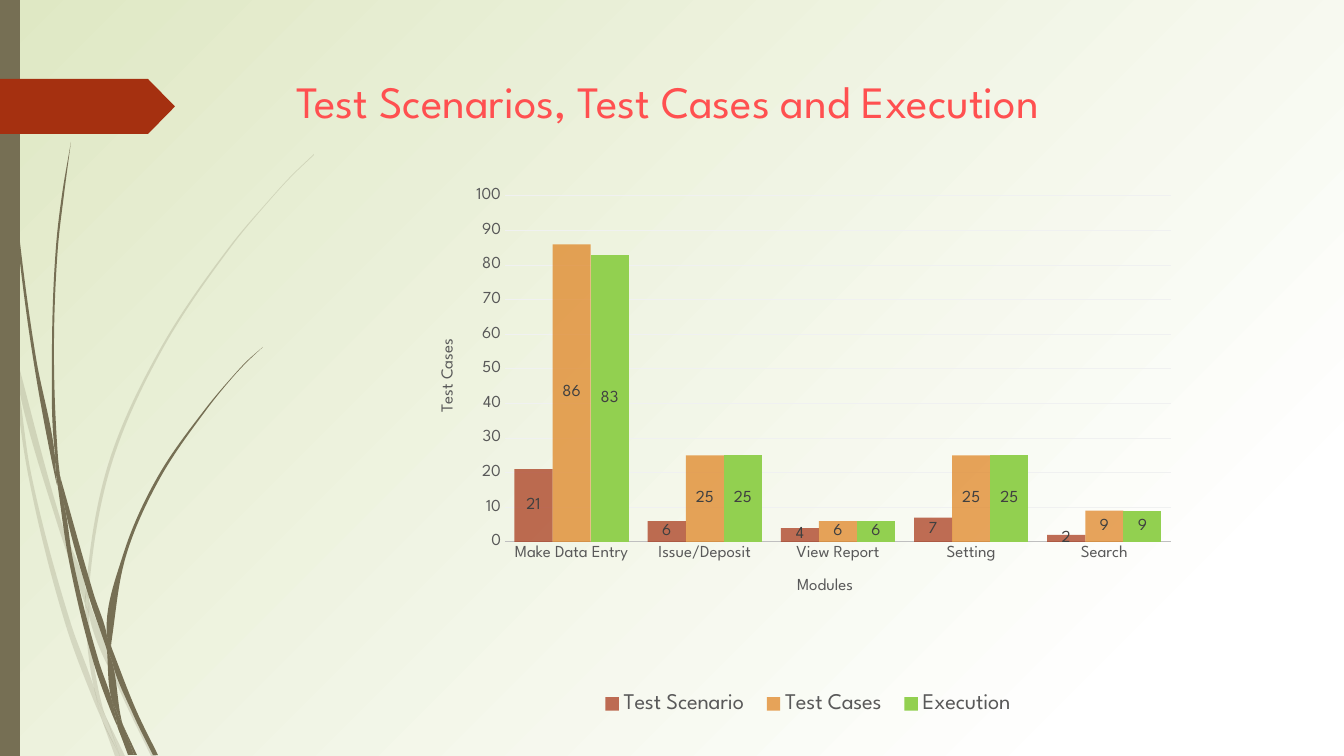
import math
from lxml import etree
from pptx import Presentation
from pptx import util as u
from pptx.chart import data as chart_data
from pptx.dml import color
from pptx.enum import chart as kinds, shapes, text
from pptx.oxml import ns

PIXEL = 914400 / 100.8
FONT = "League Spartan"
OLIVE, RUST, CORAL, GRAY = "766F54", "A53010", "FF5050", "595959"
CHART_BOX = (380, 170, 794, 586)


def px(length):
    return u.Emu(round(length * PIXEL))


def rgb(code):
    return color.RGBColor.from_string(code)


def heading(start, end):
    length = math.dist(start, end)
    return (end[0] - start[0]) / length, (end[1] - start[1]) / length


def curve_points(corners):
    count = len(corners)
    arriving, leaving = [], []
    for index, point in enumerate(corners):
        before = heading(corners[index - 1], point)
        after = heading(point, corners[(index + 1) % count])
        if before[0] * after[0] + before[1] * after[1] > 0.8:
            before = after = heading((0, 0), (before[0] + after[0], before[1] + after[1]))
        arriving.append(before)
        leaving.append(after)
    for index, start in enumerate(corners):
        following = (index + 1) % count
        end = corners[following]
        reach = math.dist(start, end) / 3
        yield tuple(p + d * reach for p, d in zip(start, leaving[index]))
        yield tuple(p - d * reach for p, d in zip(end, arriving[following]))
        yield end


class SlideBuilder:
    def __init__(self, deck):
        self.page = deck.slides.add_slide(deck.slide_layouts[5])

    def background(self, inner, outer):
        fill = self.page.background.fill
        fill.gradient()
        for stop, position, code in zip(fill.gradient_stops, (0.13, 1), (inner, outer)):
            stop.position = position
            stop.color.rgb = rgb(code)
        gradient = self.page.element.find(".//" + ns.qn("a:gradFill"))
        gradient.remove(gradient.find(ns.qn("a:lin")))
        focus = etree.SubElement(gradient, ns.qn("a:path"), {"path": "circle"})
        etree.SubElement(focus, ns.qn("a:fillToRect"), {"l": "100000", "t": "100000"})

    def paint(self, fill, code, opacity=100):
        fill.solid()
        fill.fore_color.rgb = rgb(code)
        if opacity < 100:
            for tint in fill._xPr.iter(ns.qn("a:srgbClr")):
                etree.SubElement(tint, ns.qn("a:alpha"), val=str(opacity * 1000))

    def finish(self, shape, code, opacity=100):
        shape.shadow.inherit = False
        self.paint(shape.fill, code, opacity)
        shape.line.fill.background()

    def shape(self, kind, box, code):
        shape = self.page.shapes.add_shape(kind, *map(px, box))
        self.finish(shape, code)
        return shape

    def wisps(self, outlines, opacity):
        group = self.page.shapes.add_group_shape()
        for corners in outlines:
            builder = group.shapes.build_freeform(*map(px, corners[0]), scale=1.0)
            builder.add_line_segments(
                [tuple(map(px, point)) for point in curve_points(corners)], close=True)
            wisp = builder.convert_to_shape()
            lines = list(wisp._element.iter(ns.qn("a:lnTo")))
            for trio in zip(lines[::3], lines[1::3], lines[2::3]):
                curve = etree.Element(ns.qn("a:cubicBezTo"))
                trio[0].addprevious(curve)
                for line in trio:
                    curve.append(line[0])
                    line.getparent().remove(line)
            self.finish(wisp, OLIVE, opacity)

    def style(self, font, size, code):
        font.name, font.size, font.bold = FONT, u.Pt(size), False
        font.color.rgb = rgb(code)

    def title(self, words, box):
        holder = self.page.shapes.title
        holder.left, holder.top, holder.width, holder.height = map(px, box)
        frame = holder.text_frame
        frame.word_wrap = True
        frame.auto_size = text.MSO_AUTO_SIZE.NONE
        frame.vertical_anchor = text.MSO_ANCHOR.TOP
        para = frame.paragraphs[0]
        para.alignment = text.PP_ALIGN.LEFT
        span = para.add_run()
        span.text = words
        self.style(span.font, 32, CORAL)

    def place(self, parent, **pixels):
        layout = parent.find(ns.qn("c:layout"))
        if layout is None:
            layout = etree.Element(ns.qn("c:layout"))
            overlay = parent.find(ns.qn("c:overlay"))
            if overlay is None:
                parent.insert(0, layout)
            else:
                overlay.addprevious(layout)
        manual = etree.SubElement(layout, ns.qn("c:manualLayout"))
        if parent.tag == ns.qn("c:plotArea"):
            etree.SubElement(manual, ns.qn("c:layoutTarget"), val="inner")
        for side in ("x", "y"):
            etree.SubElement(manual, ns.qn(f"c:{side}Mode"), val="edge")
        for side, length in pixels.items():
            share = length / CHART_BOX[2 if side in "xw" else 3]
            etree.SubElement(manual, ns.qn("c:" + side), val=str(share))

    def axis(self, axis, words, x, y):
        axis.major_tick_mark = axis.minor_tick_mark = kinds.XL_TICK_MARK.NONE
        self.style(axis.tick_labels.font, 12, GRAY)
        span = axis.axis_title.text_frame.paragraphs[0].add_run()
        span.text = words
        self.style(span.font, 12, GRAY)
        self.place(axis.axis_title._element, x=x, y=y)

    def chart(self, categories, series):
        values = chart_data.CategoryChartData()
        values.categories = categories
        for name, numbers, _, _ in series:
            values.add_series(name, numbers)
        chart = self.page.shapes.add_chart(
            kinds.XL_CHART_TYPE.COLUMN_CLUSTERED, *map(px, CHART_BOX), values).chart
        chart.has_title = False
        self.style(chart.font, 10, "000000")
        plot = chart.plots[0]
        plot.gap_width, plot.overlap, plot.vary_by_categories = 50, 0, False
        for bars, (_, _, code, opacity) in zip(plot.series, series):
            self.paint(bars.format.fill, code, opacity)
        plot.has_data_labels = True
        labels = plot.data_labels
        labels.show_value = True
        labels.position = kinds.XL_LABEL_POSITION.CENTER
        self.style(labels.font, 12, "404040")
        modules, cases = chart.category_axis, chart.value_axis
        self.axis(modules, "Modules", 414, 404)
        self.axis(cases, "Test Cases", 56, 166)
        modules.format.line.width = u.Pt(0.75)
        self.paint(modules.format.line.fill, "BFBFBF")
        cases.format.line.fill.background()
        cases.minimum_scale, cases.maximum_scale, cases.major_unit = 0, 100, 10
        cases.has_major_gridlines = True
        grid = cases.major_gridlines.format.line
        grid.width = u.Pt(0.75)
        self.paint(grid.fill, "F0F1F1")
        chart.has_legend = True
        chart.legend.position = kinds.XL_LEGEND_POSITION.BOTTOM
        chart.legend.include_in_layout = False
        self.style(chart.legend.font, 16, GRAY)
        self.place(chart.legend._element, x=210, y=518, w=436, h=32)
        area = chart._chartSpace.find(".//" + ns.qn("c:plotArea"))
        self.place(area, x=125, y=26, w=666, h=346)


LIGHT_WISPS = [
    [(11, 353), (9, 325), (0, 284), (0, 301), (10, 347)],
    [(58, 526), (85, 604), (86, 591), (62, 524), (14, 348), (17, 379)],
    [(93, 612), (89, 601), (89, 615), (124, 700), (151, 756), (156, 756), (128, 698)],
    [(120, 756), (125, 756), (106, 717)],
    [(94, 688), (71, 624), (31, 473), (17, 379), (11, 353), (28, 474), (66, 626),
     (93, 699), (102, 720), (100, 713)],
    [(85, 604), (88, 651), (94, 688), (97, 698), (106, 717), (104, 712), (92, 651),
     (89, 615), (89, 613)],
    [(89, 589), (111, 466), (161, 352), (231, 247), (270, 200), (292, 176), (314, 155),
     (314, 154), (291, 176), (270, 199), (230, 246), (159, 351), (108, 465), (86, 589),
     (86, 591), (89, 601)],
    [(102, 720), (115, 756), (120, 756)],
    [(89, 613), (89, 615), (89, 601), (86, 591), (85, 604)],
    [(97, 698), (94, 688), (100, 713), (102, 720), (120, 756), (106, 717)],
]
DARK_WISPS = [
    [(7, 111), (17, 235), (33, 358), (56, 481), (57, 485), (55, 461), (55, 457),
     (36, 358), (19, 234), (8, 110), (5, 48), (4, 0), (3, 0), (4, 48)],
    [(89, 597), (107, 650), (107, 638), (107, 636), (94, 595), (60, 476), (65, 509)],
    [(114, 654), (111, 646), (112, 661), (133, 714), (153, 755), (158, 755), (137, 712)],
    [(111, 697), (99, 662), (73, 560), (65, 509), (57, 481), (69, 561), (94, 664),
     (112, 714), (118, 728), (117, 723)],
    [(60, 476), (58, 457), (54, 352), (58, 247), (64, 195), (71, 142), (62, 195),
     (56, 247), (52, 352), (55, 453)],
    [(134, 755), (137, 755), (123, 725)],
    [(57, 481), (65, 509), (60, 476), (55, 453), (55, 457)],
    [(112, 638), (126, 556), (159, 480), (207, 409), (233, 377), (247, 362), (263, 347),
     (247, 361), (233, 376), (206, 408), (157, 478), (123, 555), (107, 636), (111, 646)],
    [(118, 728), (128, 755), (132, 755)],
    [(107, 650), (111, 697), (117, 712), (123, 725), (122, 722), (112, 661), (110, 656)],
    [(107, 650), (110, 656), (112, 661), (111, 646), (107, 636), (107, 638)],
    [(117, 712), (111, 697), (117, 723), (118, 728), (131, 755), (134, 755), (123, 725)],
]
MODULES = ["Make Data Entry", "Issue/Deposit", "View Report", "Setting", "Search"]
COUNTS = [("Test Scenario", (21, 6, 4, 7, 2), RUST, 70),
          ("Test Cases", (86, 25, 6, 25, 9), "DE7E18", 70),
          ("Execution", (83, 25, 6, 25, 9), "92D050", 100)]

deck = Presentation()
deck.slide_width, deck.slide_height = px(1344), px(756)
slide = SlideBuilder(deck)
slide.background("FFFFFF", "DFE8C4")
slide.wisps(LIGHT_WISPS, 20)
slide.wisps(DARK_WISPS, 100)
slide.shape(shapes.MSO_SHAPE.RECTANGLE, (0, 0, 20, 756), OLIVE)
banner = slide.shape(shapes.MSO_SHAPE.PENTAGON, (0, 79, 175, 55), RUST)
banner.adjustments[0] = 0.49
slide.title("Test Scenarios, Test Cases and Execution", (286, 69, 983, 141))
slide.chart(MODULES, COUNTS)
deck.save("out.pptx")
